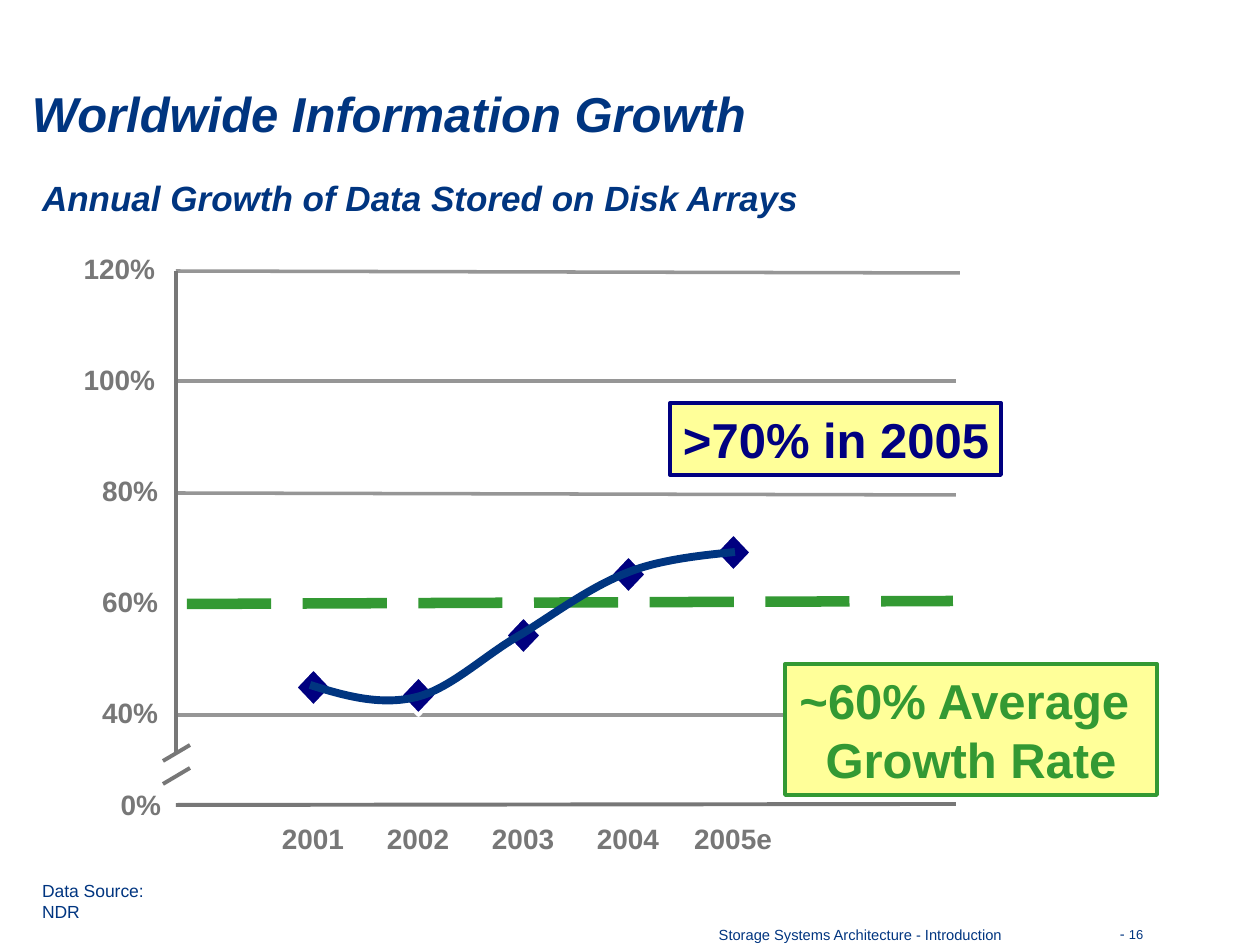
from dataclasses import dataclass
from typing import NamedTuple

from lxml.etree import SubElement
from pptx import Presentation
from pptx.dml.color import RGBColor
from pptx.enum.dml import MSO_LINE
from pptx.enum.shapes import MSO_CONNECTOR, MSO_SHAPE
from pptx.enum.text import MSO_ANCHOR, PP_ALIGN
from pptx.oxml.ns import qn
from pptx.util import Emu, Pt

EMU_PER_PX = 914400 / 126


@dataclass(frozen=True)
class Theme:
    font: str = "Arial"
    brand: str = "003580"
    navy: str = "000080"
    green: str = "339933"
    axis: str = "777777"
    grid: str = "969696"
    callout: str = "FFFF99"
    white: str = "FFFFFF"
    headline: float = 28
    subtitle: float = 20
    label: float = 16
    source: float = 10
    footer: float = 8.4
    page: float = 7.4
    hairline: float = 0
    outline: float = 2.25
    trend: float = 4.5
    average: float = 6


THEME = Theme()


class Box(NamedTuple):
    left: int
    top: int
    width: int
    height: int


class Style(NamedTuple):
    size: float
    color: str
    bold: bool = False
    italic: bool = False
    align: PP_ALIGN = PP_ALIGN.LEFT


class Rule(NamedTuple):
    start: tuple[int, int]
    end: tuple[int, int]
    color: str
    width: float
    dash: MSO_LINE | None = None


class Tick(NamedTuple):
    text: str
    right: int
    top: int


class Year(NamedTuple):
    text: str
    growth_y: int


class Callout(NamedTuple):
    box: Box
    lines: list[str]
    color: str
    align: PP_ALIGN


def px(length: float) -> Emu:
    return Emu(round(length * EMU_PER_PX))


def rgb(color: str) -> RGBColor:
    return RGBColor.from_string(color)


def place(box: Box) -> list[Emu]:
    return [px(length) for length in box]


def write(frame, lines: list[str], style: Style, inset: tuple[int, int] = (0, 0),
          wrap: bool = False) -> None:
    frame.word_wrap = wrap
    frame.margin_left = frame.margin_right = px(inset[0])
    frame.margin_top = frame.margin_bottom = px(inset[1])
    for index, line in enumerate(lines):
        paragraph = frame.add_paragraph() if index else frame.paragraphs[0]
        paragraph.alignment = style.align
        paragraph.font.name = THEME.font
        paragraph.font.size = Pt(style.size)
        paragraph.font.bold = style.bold
        paragraph.font.italic = style.italic
        paragraph.font.color.rgb = rgb(style.color)
        paragraph.add_run().text = line


def add_text(slide, box: Box, text: str, style: Style, wrap: bool = True):
    frame = slide.shapes.add_textbox(*place(box)).text_frame
    write(frame, [text], style, wrap=wrap)
    return frame


def add_rule(slide, rule: Rule) -> None:
    connector = slide.shapes.add_connector(
        MSO_CONNECTOR.STRAIGHT, *map(px, rule.start + rule.end))
    connector.line.color.rgb = rgb(rule.color)
    connector.line.width = Pt(rule.width)
    if rule.dash is not None:
        connector.line.dash_style = rule.dash
    SubElement(connector._element.spPr, qn("a:effectLst"))


def add_filled(slide, kind: MSO_SHAPE, box: Box, fill: str, line: str):
    shape = slide.shapes.add_shape(kind, *place(box))
    shape.shadow.inherit = False
    shape.fill.solid()
    shape.fill.fore_color.rgb = rgb(fill)
    shape.line.color.rgb = rgb(line)
    shape.line.width = Pt(THEME.outline)
    return shape


def add_callout(slide, callout: Callout) -> None:
    panel = add_filled(slide, MSO_SHAPE.RECTANGLE, callout.box, THEME.callout, callout.color)
    panel.text_frame.vertical_anchor = MSO_ANCHOR.MIDDLE
    write(panel.text_frame, callout.lines,
          Style(THEME.headline, callout.color, bold=True, align=callout.align), (13, 6))


def add_curve(slide, points: list[tuple[int, int]], color: str, width: float) -> None:
    builder = slide.shapes.build_freeform(*points[0], scale=EMU_PER_PX)
    builder.add_line_segments(points[1:], close=False)
    curve = builder.convert_to_shape()
    curve.shadow.inherit = False
    curve.fill.background()
    curve.line.color.rgb = rgb(color)
    curve.line.width = Pt(width)
    outline = curve._element.find(".//" + qn("a:path"))
    segments = outline.findall(qn("a:lnTo"))
    for first in range(0, len(segments), 3):
        bezier = SubElement(outline, qn("a:cubicBezTo"))
        for segment in segments[first:first + 3]:
            bezier.append(segment[0])
            outline.remove(segment)


AXIS_X = 176
FIRST_YEAR_X, YEAR_STEP = 313, 105
MARKER_WIDTH, MARKER_HEIGHT = 37, 39

AXES_AND_GRID = [
    Rule((AXIS_X, 805), (956, 804), THEME.axis, THEME.outline),
    Rule((AXIS_X, 715), (959, 715), THEME.grid, THEME.hairline),
    Rule((AXIS_X, 493), (956, 495), THEME.grid, THEME.hairline),
    Rule((AXIS_X, 381), (956, 381), THEME.grid, THEME.hairline),
    Rule((AXIS_X, 271), (960, 273), THEME.grid, THEME.hairline),
    Rule((AXIS_X, 271), (AXIS_X, 753), THEME.axis, THEME.outline),
]
AVERAGE = Rule((187, 604), (953, 601), THEME.green, THEME.average, MSO_LINE.LONG_DASH)
AXIS_BREAK = [Rule((190, y), (163, y + 16), THEME.axis, THEME.outline) for y in (745, 768)]
TICKS = [Tick("0%", 161, 788)] + [
    Tick(f"{120 - 20 * row}%", 155 if row < 2 else 158, 252 + 111 * row) for row in range(5)]
YEARS = [Year("2001", 687), Year("2002", 695), Year("2003", 635),
         Year("2004", 574), Year("2005e", 552)]
TREND = [(310, 685),
         (345, 696), (381, 706), (417, 697),
         (452, 688), (486, 654), (522, 634),
         (557, 612), (592, 586), (629, 572),
         (664, 558), (717, 554), (735, 552)]
AVERAGE_CALLOUT = Callout(Box(785, 664, 372, 131), ["~60% Average ", "Growth Rate"],
                          THEME.green, PP_ALIGN.CENTER)
LATEST_CALLOUT = Callout(Box(670, 403, 331, 72), [">70% in 2005"], THEME.navy, PP_ALIGN.LEFT)


def main() -> None:
    deck = Presentation()
    deck.slide_width, deck.slide_height = px(1260), px(945)
    slide = deck.slides.add_slide(deck.slide_layouts[5])

    title = slide.shapes.title
    title.left, title.top, title.width, title.height = place(Box(32, 81, 1200, 63))
    title.text_frame.vertical_anchor = MSO_ANCHOR.MIDDLE
    write(title.text_frame, ["Worldwide Information Growth"],
          Style(THEME.headline, THEME.brand, True, True), wrap=True)

    add_text(slide, Box(596, 926, 529, 19), "Storage Systems Architecture - Introduction",
             Style(THEME.footer, THEME.brand, align=PP_ALIGN.CENTER))
    page = add_text(slide, Box(1120, 925, 100, 20), "- ", Style(THEME.footer, THEME.brand))
    number = page.paragraphs[0].add_run()
    number.text = "16"
    number.font.size = Pt(THEME.page)

    for rule in AXES_AND_GRID:
        add_rule(slide, rule)
    add_callout(slide, AVERAGE_CALLOUT)
    for index, year in enumerate(YEARS):
        center = FIRST_YEAR_X + YEAR_STEP * index
        marker = Box(center - MARKER_WIDTH // 2, year.growth_y - MARKER_HEIGHT // 2,
                     MARKER_WIDTH, MARKER_HEIGHT)
        add_filled(slide, MSO_SHAPE.DIAMOND, marker, THEME.navy, THEME.white)
        add_text(slide, Box(center - 40, 822, 80, 34), year.text,
                 Style(THEME.label, THEME.axis, bold=True, align=PP_ALIGN.CENTER))
    add_callout(slide, LATEST_CALLOUT)
    add_rule(slide, AVERAGE)
    for tick in TICKS:
        add_text(slide, Box(tick.right - 80, tick.top, 80, 34), tick.text,
                 Style(THEME.label, THEME.axis, bold=True, align=PP_ALIGN.RIGHT))
    for rule in AXIS_BREAK:
        add_rule(slide, rule)
    add_curve(slide, TREND, THEME.brand, THEME.trend)

    add_text(slide, Box(42, 176, 1176, 42), "Annual Growth of Data Stored on Disk Arrays",
             Style(THEME.subtitle, THEME.brand, True, True))
    add_text(slide, Box(42, 880, 146, 22), "Data Source:  NDR",
             Style(THEME.source, THEME.brand), wrap=False)
    deck.save("out.pptx")


if __name__ == "__main__":
    main()
